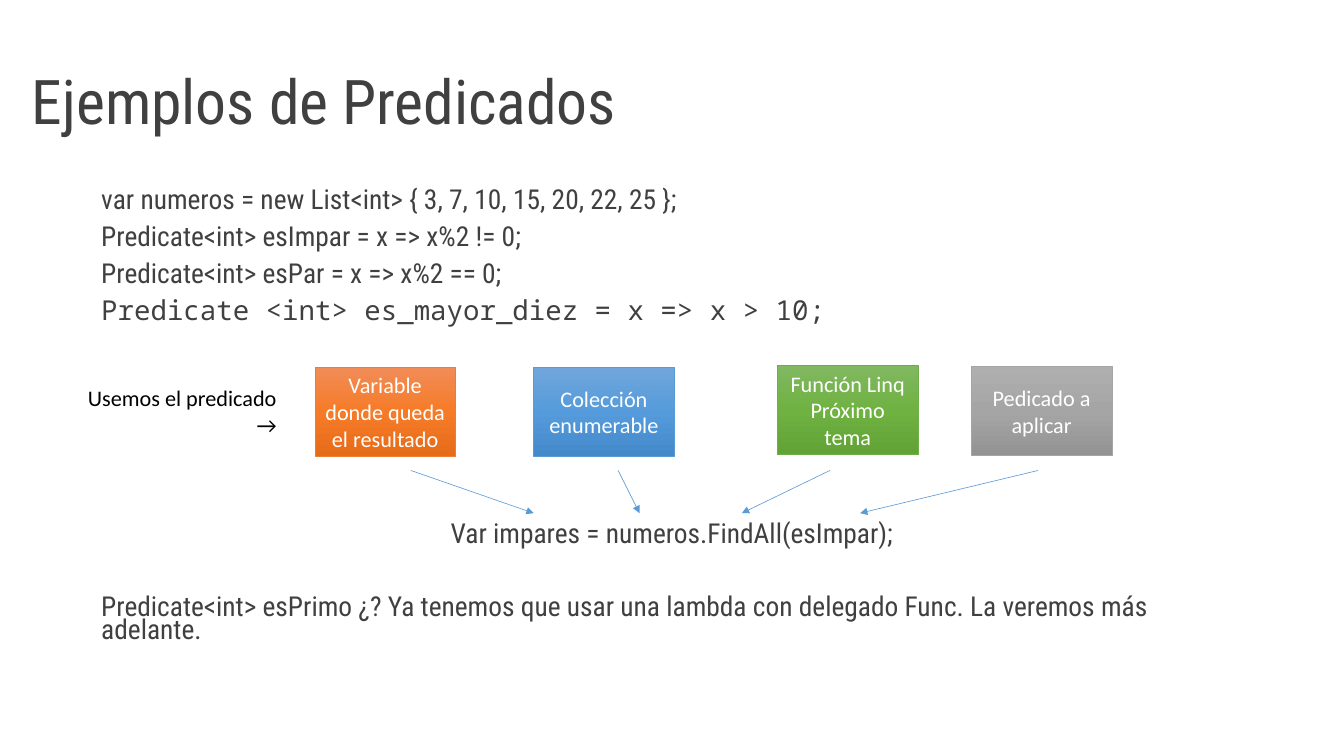
from copy import deepcopy

from lxml import etree
from pptx import Presentation
from pptx import util as u
from pptx.dml import color
from pptx.enum import shapes, text
from pptx.oxml import ns

CENTER, RIGHT = text.PP_ALIGN.CENTER, text.PP_ALIGN.RIGHT
MIDDLE = text.MSO_ANCHOR.MIDDLE


def rgb(value):
    return color.RGBColor.from_string(value)


class Slide:
    HEADING = "Roboto Condensed"
    MONO = "Noto Sans Mono"
    LABEL = "Calibri"
    INK, ARROW = "404040", "5B9BD5"
    CODE_SIZE, LABEL_SIZE = 22.2, 18

    def __init__(self, prs):
        self.slide = prs.slides.add_slide(prs.slide_layouts[6])

    def style(self, paragraph, size, font, ink, align=None):
        paragraph.alignment = align
        paragraph.font.size = u.Pt(size)
        paragraph.font.name = font
        paragraph.font.color.rgb = rgb(ink)

    def textbox(self, left, top, width, height, wrap=True):
        box = self.slide.shapes.add_textbox(*map(u.Inches, (left, top, width, height)))
        box.text_frame.word_wrap = wrap
        return box.text_frame

    def title(self, wording):
        frame = self.textbox(0.26, 0.36, 14, 1.64)
        frame.vertical_anchor = MIDDLE
        frame.text = wording
        frame.paragraphs[0].line_spacing = 0.9
        self.style(frame.paragraphs[0], 49.9, self.HEADING, self.INK)

    def code(self, top, height, lines, align=None):
        """Add a block of (wording, font) lines across the body width."""
        frame = self.textbox(1.04, top, 13.03, height)
        frame.text = "\n".join(wording for wording, _ in lines)
        for i, (paragraph, (_, font)) in enumerate(zip(frame.paragraphs, lines)):
            paragraph.line_spacing = 0.7
            paragraph.space_before = u.Pt(11.3 if i else 0)
            self.style(paragraph, self.CODE_SIZE, font, self.INK, align)

    def prompt(self, wording):
        frame = self.textbox(0.89, 4.27, 2.35, 0.71, wrap=False)
        frame.text = wording
        for paragraph, align in zip(frame.paragraphs, (None, RIGHT)):
            self.style(paragraph, self.LABEL_SIZE, self.LABEL, "000000", align)

    def gradient(self, fill, tones):
        """Fill from top to bottom with three evenly spaced tones."""
        fill.gradient()
        fill.gradient_angle = 270
        stop_list = fill._xPr.find(ns.qn("a:gradFill")).find(ns.qn("a:gsLst"))
        stop_list.insert(1, deepcopy(stop_list[0]))
        for stop, tone, position in zip(fill.gradient_stops, tones, (0, 0.5, 1)):
            stop.color.rgb = rgb(tone)
            stop.position = position

    def label(self, left, top, wording, tones, outline):
        box = self.slide.shapes.add_shape(
            shapes.MSO_SHAPE.RECTANGLE, *map(u.Inches, (left, top, 1.58, 1)))
        box.shadow.inherit = False
        self.gradient(box.fill, tones)
        box.line.color.rgb = rgb(outline)
        box.line.width = u.Pt(0.5)
        frame = box.text_frame
        frame.word_wrap = True
        frame.vertical_anchor = MIDDLE
        frame.text = wording
        for paragraph in frame.paragraphs:
            self.style(paragraph, self.LABEL_SIZE, self.LABEL, "FFFFFF", CENTER)

    def arrow(self, start, end):
        line = self.slide.shapes.add_connector(
            shapes.MSO_CONNECTOR.STRAIGHT,
            *map(u.Inches, (start, 5.29, end, 5.77)))
        line.line.color.rgb = rgb(self.ARROW)
        line.line.width = u.Pt(0.5)
        etree.SubElement(line.line._get_or_add_ln(), ns.qn("a:tailEnd"), type="triangle")
        etree.SubElement(line._element.spPr, ns.qn("a:effectLst"))


def main():
    prs = Presentation()
    prs.slide_width, prs.slide_height = u.Inches(15.11), u.Inches(8.5)
    slide = Slide(prs)

    slide.title("Ejemplos de Predicados")
    slide.code(2.1, 1.8, [
        ("var numeros = new List<int> { 3, 7, 10, 15, 20, 22, 25 };", slide.HEADING),
        ("Predicate<int> esImpar = x => x%2 != 0;", slide.HEADING),
        ("Predicate<int> esPar = x => x%2 == 0;", slide.HEADING),
        ("Predicate <int> es_mayor_diez = x => x > 10;", slide.MONO),
    ])
    slide.code(5.85, 0.4, [("Var impares = numeros.FindAll(esImpar);", slide.HEADING)], CENTER)
    slide.code(6.68, 0.68, [(
        "Predicate<int> esPrimo ¿? Ya tenemos que usar una lambda con delegado Func. "
        "La veremos más adelante.", slide.HEADING)])

    call_parts = [
        (3.54, 4.13, "Variable donde queda el resultado",
         ("F18C57", "F67B28", "E56C19"), "ED7D31", (4.62, 6)),
        (6, 4.13, "Colección enumerable",
         ("71A6DB", "559BDB", "448ACA"), "5B9BD5", (6.95, 7.19)),
        (8.74, 4.11, "Función Linq\nPróximo tema",
         ("81B861", "6FB242", "62A336"), "70AD47", (9.33, 8.34)),
        (10.92, 4.12, "Pedicado a aplicar",
         ("AFAFAF", "A5A5A5", "939393"), "A5A5A5", (11.67, 9.67)),
    ]
    for left, top, wording, tones, outline, (start, end) in call_parts:
        slide.label(left, top, wording, tones, outline)
        slide.arrow(start, end)
    slide.prompt("Usemos el predicado\n→")

    prs.save("out.pptx")


if __name__ == "__main__":
    main()
